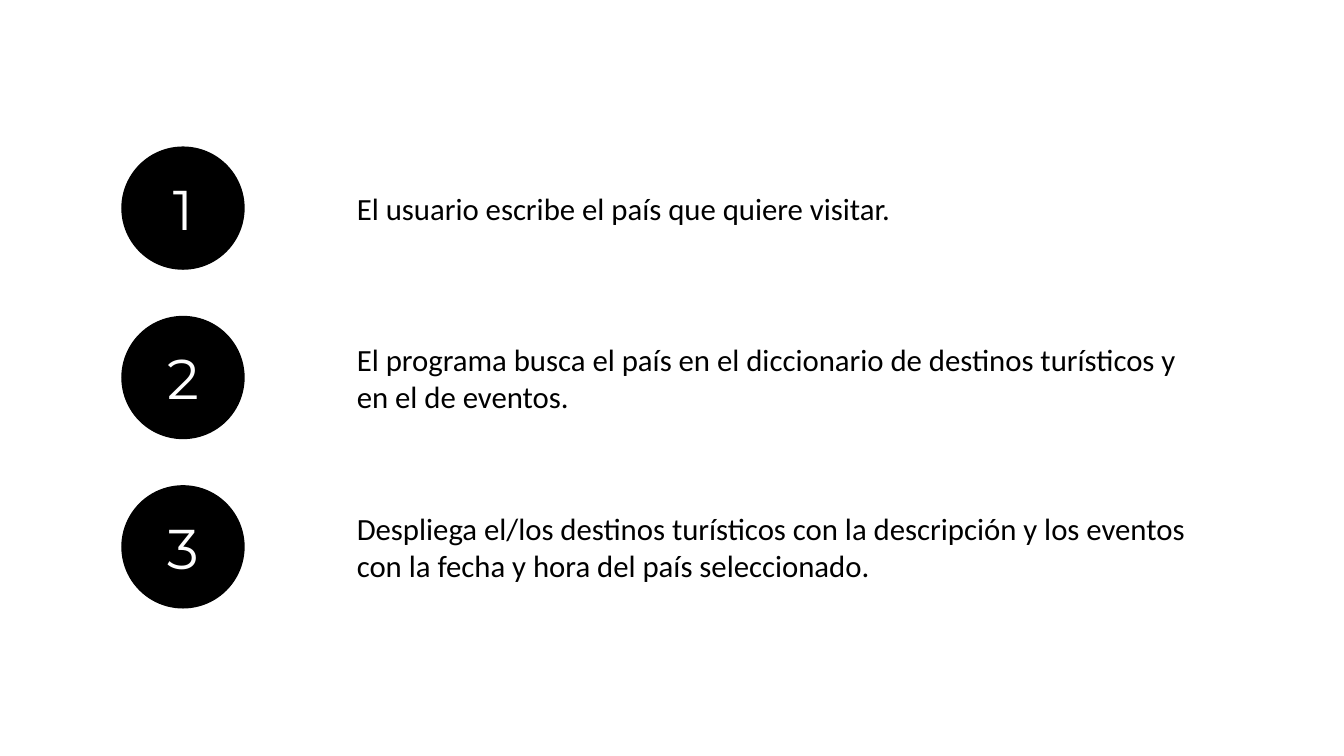
from pptx import Presentation
from pptx import util as u
from pptx.dml.color import RGBColor
from pptx.enum import shapes, text

COLORS = {"ink": "000000", "paper": "FFFFFF"}
STEPS = [
    "El usuario escribe el país que quiere visitar.",
    "El programa busca el país en el diccionario de destinos turísticos y en el de eventos.",
    "Despliega el/los destinos turísticos con la descripción y los eventos "
    "con la fecha y hora del país seleccionado.",
]
LEFT, TOP, WIDTH = 1.21, 1.46, 10.91
DISC, PITCH = 1.21, 1.68
TEXT_OFFSET = 2.23


def rgb(name):
    return RGBColor.from_string(COLORS[name])


def add_run(p, words, font, size, color):
    r = p.add_run()
    r.text = words
    r.font.name = font
    r.font.size = u.Pt(size)
    r.font.color.rgb = rgb(color)


def add_step(s, number, words, left, top, width, height):
    # Numbered disc
    sp = s.shapes.add_shape(shapes.MSO_SHAPE.OVAL, u.Inches(left), u.Inches(top),
                            u.Inches(height), u.Inches(height))
    sp.shadow.inherit = False
    sp.fill.solid()
    sp.fill.fore_color.rgb = rgb("ink")
    sp.line.color.rgb = rgb("ink")
    sp.line.width = u.Pt(1)
    tf = sp.text_frame
    tf.vertical_anchor = text.MSO_ANCHOR.MIDDLE
    p = tf.paragraphs[0]
    p.alignment = text.PP_ALIGN.CENTER
    add_run(p, str(number), "Montserrat", 40, "paper")

    # Description, centred on the disc
    sp = s.shapes.add_textbox(u.Inches(left + TEXT_OFFSET), u.Inches(top),
                              u.Inches(width - TEXT_OFFSET), u.Inches(height))
    tf = sp.text_frame
    tf.word_wrap = True
    tf.vertical_anchor = text.MSO_ANCHOR.MIDDLE
    add_run(tf.paragraphs[0], words, "Calibri", 22, "ink")


prs = Presentation()
prs.slide_width, prs.slide_height = u.Inches(13.33), u.Inches(7.5)
s = prs.slides.add_slide(prs.slide_layouts[6])
s.background.fill.solid()
s.background.fill.fore_color.rgb = rgb("paper")

# Steps at an equal pitch
for i, words in enumerate(STEPS):
    add_step(s, i + 1, words, LEFT, TOP + i * PITCH, WIDTH, DISC)

prs.save("out.pptx")
